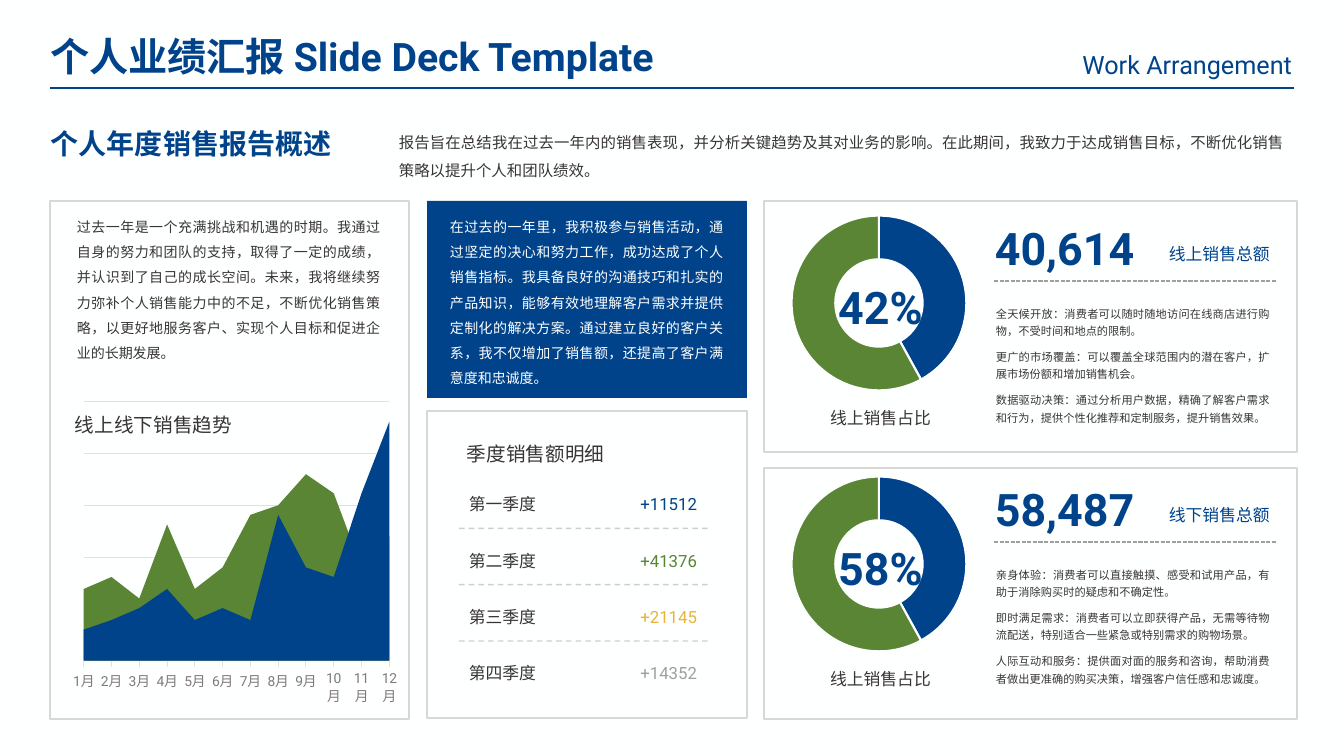
"""Build a one-page personal sales report slide."""
from lxml import etree
from pptx import Presentation
from pptx.chart.data import CategoryChartData
from pptx.dml.color import RGBColor
from pptx.enum.chart import XL_CHART_TYPE, XL_TICK_MARK
from pptx.enum.dml import MSO_LINE
from pptx.enum.shapes import MSO_CONNECTOR, MSO_SHAPE
from pptx.enum.text import MSO_ANCHOR, MSO_AUTO_SIZE, PP_ALIGN
from pptx.oxml.ns import qn
from pptx.util import Pt

PX = 914400 / 100.8
LATIN, ASIAN = "Roboto", "Noto Sans CJK SC"
LEFT, CENTER, RIGHT, JUSTIFY = PP_ALIGN.LEFT, PP_ALIGN.CENTER, PP_ALIGN.RIGHT, PP_ALIGN.JUSTIFY
AREA, DOUGHNUT = XL_CHART_TYPE.AREA, XL_CHART_TYPE.DOUGHNUT
DASH, SQUARE_DOT = MSO_LINE.DASH, MSO_LINE.SQUARE_DOT
COLORS = {"blue": "00438B", "green": "598535", "gold": "E9B437", "gray": "9EA0A0",
          "ink": "383535", "axis": "807979", "grid": "E2E0E0", "border": "D7D7D7",
          "paper": "FEFFFF"}

TITLE = "个人业绩汇报 Slide Deck Template"
SUBTITLE = "Work Arrangement"
HEADING = "个人年度销售报告概述"
INTRO = "报告旨在总结我在过去一年内的销售表现，并分析关键趋势及其对业务的影响。在此期间，我致力于达成销售目标，不断优化销售策略以提升个人和团队绩效。"
OUTLOOK = "过去一年是一个充满挑战和机遇的时期。我通过自身的努力和团队的支持，取得了一定的成绩，并认识到了自己的成长空间。未来，我将继续努力弥补个人销售能力中的不足，不断优化销售策略，以更好地服务客户、实现个人目标和促进企业的长期发展。"
ACHIEVEMENT = "在过去的一年里，我积极参与销售活动，通过坚定的决心和努力工作，成功达成了个人销售指标。我具备良好的沟通技巧和扎实的产品知识，能够有效地理解客户需求并提供定制化的解决方案。通过建立良好的客户关系，我不仅增加了销售额，还提高了客户满意度和忠诚度。"
TREND_TITLE = "线上线下销售趋势"
TREND = [("Series 1", "blue", (13, 17, 22, 30, 17, 22, 17, 61, 39, 35, 70, 100)),
         ("Series 2", "green", (30, 35, 26, 57, 30, 39, 61, 65, 78, 70, 39, 52))]
QUARTER_TITLE = "季度销售额明细"
QUARTERS = [("第一季度", "+11512", "blue"), ("第二季度", "+41376", "green"),
            ("第三季度", "+21145", "gold"), ("第四季度", "+14352", "gray")]
SHARES = (42, 58)
SHARE_LABEL = "线上销售占比"
CHANNELS = [
    ("40,614", "线上销售总额", "42%", [
        "全天候开放：消费者可以随时随地访问在线商店进行购物，不受时间和地点的限制。",
        "更广的市场覆盖：可以覆盖全球范围内的潜在客户，扩展市场份额和增加销售机会。",
        "数据驱动决策：通过分析用户数据，精确了解客户需求和行为，提供个性化推荐和定制服务，提升销售效果。"]),
    ("58,487", "线下销售总额", "58%", [
        "亲身体验：消费者可以直接触摸、感受和试用产品，有助于消除购买时的疑虑和不确定性。",
        "即时满足需求：消费者可以立即获得产品，无需等待物流配送，特别适合一些紧急或特别需求的购物场景。",
        "人际互动和服务：提供面对面的服务和咨询，帮助消费者做出更准确的购买决策，增强客户信任感和忠诚度。"]),
]


def scaled(*lengths):
    return [round(length * PX) for length in lengths]


def rgb(name):
    return RGBColor.from_string(COLORS[name])


def write(box, lines, size, color="ink", bold=False, align=LEFT, spacing=1.0, after=0, wrap=True):
    frame = box.text_frame
    frame.word_wrap = wrap
    frame.auto_size = MSO_AUTO_SIZE.SHAPE_TO_FIT_TEXT
    frame.vertical_anchor = MSO_ANCHOR.TOP
    for index, line in enumerate(lines):
        para = frame.add_paragraph() if index else frame.paragraphs[0]
        para.alignment, para.line_spacing, para.space_after = align, spacing, Pt(after)
        span = para.add_run()
        span.text = line
        font = span.font
        font.name, font.size, font.bold = LATIN, Pt(size), bold
        font.color.rgb = rgb(color)
        asian = etree.Element(qn("a:ea"), typeface=ASIAN)
        span._r.get_or_add_rPr().find(qn("a:latin")).addnext(asian)


def add_text(page, area, lines, size, color="ink", **style):
    write(page.shapes.add_textbox(*scaled(*area)), lines, size, color, **style)


def add_card(page, area, fill="paper", border="border"):
    card = page.shapes.add_shape(MSO_SHAPE.ROUNDED_RECTANGLE, *scaled(*area))
    card.adjustments[0] = 0
    card.shadow.inherit = False
    card.fill.solid()
    card.fill.fore_color.rgb = rgb(fill)
    if border:
        card.line.color.rgb = rgb(border)
        card.line.width = Pt(1.5)
    else:
        card.line.fill.background()


def add_rule(page, left, right, top, color="gray", width=1.0, dash=None, opacity=None):
    rule = page.shapes.add_connector(MSO_CONNECTOR.STRAIGHT, *scaled(left, top, right, top))
    rule.line.color.rgb = rgb(color)
    rule.line.width = Pt(width)
    if dash:
        rule.line.dash_style = dash
    properties = rule._element.spPr
    if opacity:
        tint = properties.find(".//" + qn("a:srgbClr"))
        etree.SubElement(tint, qn("a:alpha"), val=str(opacity * 1000))
    etree.SubElement(properties, qn("a:effectLst"))


def add_chart(page, kind, area, categories, series, plot_area):
    data = CategoryChartData()
    data.categories = categories
    for name, values in series:
        data.add_series(name, values)
    chart = page.shapes.add_chart(kind, *scaled(*area), data).chart
    chart.has_legend = chart.has_title = False
    chart.font.name, chart.font.size = LATIN, Pt(10)
    chart.font.color.rgb = rgb("ink")
    plot_element = chart._chartSpace.find(".//" + qn("c:plotArea"))
    for old_layout in plot_element.findall(qn("c:layout")):
        plot_element.remove(old_layout)
    layout = etree.Element(qn("c:layout"))
    manual = etree.SubElement(layout, qn("c:manualLayout"))
    settings = [("layoutTarget", "inner"), ("xMode", "edge"), ("yMode", "edge"),
                *zip("xywh", plot_area)]
    for tag, value in settings:
        etree.SubElement(manual, qn("c:" + tag), val=str(value))
    plot_element.insert(0, layout)
    return chart


def add_share_chart(page, area):
    chart = add_chart(page, DOUGHNUT, area, ("1", "2"), [("Series 1", SHARES)],
                      (0.04, 0.03, 0.93, 0.93))
    plot = chart.plots[0]
    plot.vary_by_categories = False
    plot._element.find(qn("c:holeSize")).set("val", "60")
    for index, color in enumerate(("blue", "green")):
        outline = plot.series[0].points[index].format
        outline.fill.solid()
        outline.fill.fore_color.rgb = rgb(color)
        outline.line.color.rgb = rgb("paper")
        outline.line.width = Pt(1.5)


def add_trend_chart(page, area):
    months = [f"{month}月" for month in range(1, 13)]
    chart = add_chart(page, AREA, area, months, [(name, values) for name, _, values in TREND],
                      (0.06, 0.07, 0.93, 0.8))
    chart.plots[0].vary_by_categories = False
    for series, (_, color, _) in zip(chart.plots[0].series, TREND):
        series.format.fill.solid()
        series.format.fill.fore_color.rgb = rgb(color)
    values, axis = chart.value_axis, chart.category_axis
    values.minimum_scale, values.maximum_scale, values.major_unit = 0, 108.35, 21.67
    values.visible, values.has_major_gridlines = False, True
    values._element.find(qn("c:crossBetween")).set("val", "midCat")
    axis.has_major_gridlines = False
    axis.major_tick_mark = XL_TICK_MARK.OUTSIDE
    for line in (values.major_gridlines.format.line, axis.format.line):
        line.color.rgb = rgb("grid")
        line.width = Pt(0.75)
    label = axis.tick_labels.font
    label.name, label.size = LATIN, Pt(10)
    label.color.rgb = rgb("axis")


def add_quarters(page):
    add_card(page, (427, 411, 320, 307))
    add_text(page, (457, 430, 250, 38), [QUARTER_TITLE], 14, spacing=1.3, after=6)
    step = 169 / 3
    for index, (quarter, amount, color) in enumerate(QUARTERS):
        top = 483 + index * step
        add_text(page, (459, top, 115, 34), [quarter], 12, spacing=1.3, after=6)
        add_text(page, (579, top, 128, 34), [amount], 12, color, align=RIGHT, spacing=1.3, after=6)
        if index:
            add_rule(page, 459, 709, top - 11, dash=DASH, opacity=50)


def add_channel(page, index, total, caption, share, points):
    add_card(page, (764, 201 + 267 * index, 533, 251))
    shift = 261 * index
    add_share_chart(page, (779, 210 + shift, 198, 188))
    add_text(page, (985, 216 + shift, 274, 65), [total], 32, "blue", bold=True, after=6)
    add_text(page, (1159, 233 + shift, 121, 34), [caption], 12, "blue", spacing=1.3, after=6)
    add_text(page, (784, 259 + shift, 193, 76), [share], 32, "blue", bold=True,
             align=CENTER, spacing=1.3, after=6)
    add_rule(page, 994, 1276, 281 + shift, dash=SQUARE_DOT)
    add_text(page, (986, 298 + shift, 294, 131), points, 8, align=JUSTIFY, spacing=1.3, after=6)
    add_text(page, (801, 397 + shift, 159, 34), [SHARE_LABEL], 12, align=CENTER,
             spacing=1.3, after=6)


def main():
    deck = Presentation()
    deck.slide_width, deck.slide_height = scaled(1344, 756)
    page = deck.slides.add_slide(deck.slide_layouts[5])
    page.background.fill.solid()
    page.background.fill.fore_color.rgb = rgb("paper")
    title = page.shapes.title
    title.left, title.top, title.width, title.height = scaled(40, 27, 680, 57)
    write(title, [TITLE], 28, "blue", bold=True, wrap=False)
    add_text(page, (1047, 44, 255, 40), [SUBTITLE], 18, "blue", align=RIGHT)
    add_rule(page, 50, 1294, 88, "blue", 1.5)
    add_text(page, (41, 122, 359, 44), [HEADING], 20, "blue", bold=True)
    add_text(page, (389, 119, 905, 64), [INTRO], 11, align=JUSTIFY, spacing=1.5)
    add_card(page, (50, 201, 359, 518))
    add_text(page, (67, 205, 323, 160), [OUTLOOK], 10, align=JUSTIFY, spacing=1.5)
    add_trend_chart(page, (64, 379, 333, 327))
    add_text(page, (65, 401, 250, 38), [TREND_TITLE], 14, spacing=1.3, after=6)
    add_card(page, (427, 201, 320, 197), "blue", None)
    add_text(page, (440, 205, 293, 185), [ACHIEVEMENT], 10, "paper", align=JUSTIFY, spacing=1.5)
    add_quarters(page)
    for index, channel in enumerate(CHANNELS):
        add_channel(page, index, *channel)
    deck.save("out.pptx")


if __name__ == "__main__":
    main()
